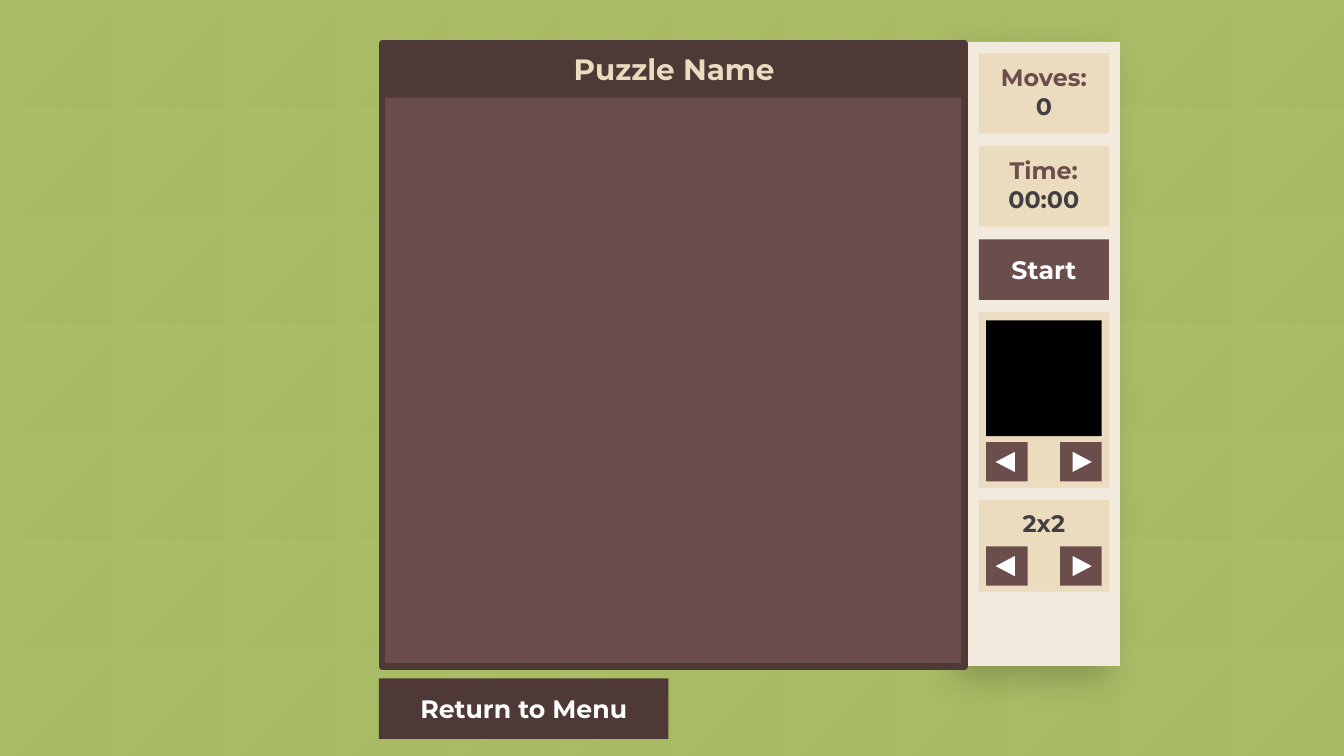
from dataclasses import dataclass

import pptx
import pptx.dml.color
import pptx.enum.shapes
import pptx.enum.text
import pptx.oxml
import pptx.oxml.ns
import pptx.util
from pptx.util import Pt

KIND = pptx.enum.shapes.MSO_SHAPE


@dataclass(frozen=True)
class Theme:
    font: str = "Montserrat"
    grass: str = "A7BA62"
    cream: str = "F1EADD"
    sand: str = "EBDBBF"
    brown: str = "6B4E4B"
    dark: str = "4F3937"
    ink: str = "404040"
    white: str = "FFFFFF"
    black: str = "000000"
    title: float = 21
    button: float = 18
    label: float = 17


THEME = Theme()

# Slide and tile grid
WIDE, HIGH = 960, 540
COLS, ROWS = 12, 7
# Side panel cards
CARD_X, CARD_Y, CARD_W, GAP = 699.2, 37.8, 92.9, 9
PAD = 5.1
KEY_W, KEY_H = 29.8, 28


def rgb(code):
    return pptx.dml.color.RGBColor.from_string(code)


def box(shapes, x, y, w, h, fill, kind=KIND.RECTANGLE):
    shape = shapes.add_shape(kind, Pt(x), Pt(y), Pt(w), Pt(h))
    shape.shadow.inherit = False
    shape.line.fill.background()
    if fill:
        shape.fill.solid()
        shape.fill.fore_color.rgb = rgb(fill)
    return shape


def write(shape, words, size=THEME.label, color=THEME.ink, bold=True):
    frame = shape.text_frame
    frame.word_wrap = True
    para = frame.paragraphs[0]
    para.alignment = pptx.enum.text.PP_ALIGN.CENTER
    run = para.add_run()
    run.text = words
    run.font.name = THEME.font
    run.font.size = Pt(size)
    run.font.bold = bold
    run.font.color.rgb = rgb(color)


def label(shapes, words, x, y, w, h=28, **style):
    shape = shapes.add_textbox(Pt(x), Pt(y), Pt(w), Pt(h))
    write(shape, words, **style)
    shape.text_frame.auto_size = pptx.enum.text.MSO_AUTO_SIZE.SHAPE_TO_FIT_TEXT


def button(shapes, words, x, y, w, h, fill):
    shape = box(shapes, x, y, w, h, fill)
    shape.text_frame.vertical_anchor = pptx.enum.text.MSO_ANCHOR.MIDDLE
    write(shape, words, size=THEME.button, color=THEME.white)


def tile(shapes, col, row):
    w, h = WIDE / COLS, HIGH / ROWS
    shape = box(shapes, col * w, row * h, w, h, None)
    shape.fill.gradient()
    shape.fill.gradient_angle = 315
    for stop in shape.fill.gradient_stops:
        stop.color.rgb = rgb(THEME.white)
    # White fading from 5 % to nothing
    tints = shape.element.spPr.findall(".//" + pptx.oxml.ns.qn("a:srgbClr"))
    for tint, alpha in zip(tints, ("5000", "0")):
        tint.append(pptx.oxml.parse_xml(
            f'<a:alpha {pptx.oxml.ns.nsdecls("a")} val="{alpha}"/>'))


def shade(shape, blur, dist, angle, alpha):
    effect = shape.element.spPr.find(pptx.oxml.ns.qn("a:effectLst"))
    effect.append(pptx.oxml.parse_xml(
        f'<a:outerShdw {pptx.oxml.ns.nsdecls("a")} blurRad="{Pt(blur)}" '
        f'dist="{Pt(dist)}" dir="{angle * 60000}" algn="tr" rotWithShape="0">'
        f'<a:srgbClr val="{THEME.black}"><a:alpha val="{alpha * 1000}"/>'
        '</a:srgbClr></a:outerShdw>'))


def card(shapes, y, h):
    box(shapes, CARD_X, y, CARD_W, h, THEME.sand)


def count(shapes, y, h, name, value):
    card(shapes, y, h)
    label(shapes, name, CARD_X, y + 3.4, CARD_W, color=THEME.brown)
    label(shapes, value, CARD_X, y + 24.3, CARD_W)


def arrows(shapes, y):
    right = CARD_X + CARD_W - PAD - KEY_W
    for x, shift, turn in ((CARD_X + PAD, 6.5, 270), (right, 8.6, 90)):
        box(shapes, x, y, KEY_W, KEY_H, THEME.brown)
        mark = box(shapes, x + shift, y + 7.2, 14.4, 13.7, THEME.white,
                   KIND.ISOSCELES_TRIANGLE)
        mark.rotation = turn


def grass(shapes):
    box(shapes, 0, 0, WIDE, HIGH, THEME.grass)
    for row in range(ROWS):
        for col in range(COLS):
            # The middle tiles would lie under the board
            if row in (0, ROWS - 1) or not 4 <= col < 8:
                tile(shapes, col, row)


def board(shapes):
    field = box(shapes, 273, 31, 416, 445, THEME.brown)
    field.line.color.rgb = rgb(THEME.dark)
    field.line.width = Pt(4.5)
    box(shapes, 271.4, 30.2, 417.6, 39.6, THEME.dark)
    label(shapes, "Puzzle Name", 273, 33.1, 417, 32.4,
          size=THEME.title, color=THEME.sand)


def side(shapes):
    highs = (57.6, 57.6, 43.2, 125.1, 65.4)
    tops = [CARD_Y + sum(highs[:i]) + i * GAP for i in range(len(highs))]
    moves, time, start, image, size = zip(tops, highs)
    count(shapes, *moves, "Moves:", "0")
    count(shapes, *time, "Time:", "00:00")
    y, h = start
    button(shapes, "Start", CARD_X, y, CARD_W, h, THEME.brown)

    # Image chooser
    y, h = image
    group = shapes.add_group_shape().shapes
    card(group, y, h)
    arrows(group, y + h - 32.4)
    edge = CARD_W - 2 * PAD
    box(group, CARD_X + PAD, y + 5.6, edge, edge, THEME.black)

    # Grid size chooser
    y, h = size
    group = shapes.add_group_shape().shapes
    card(group, y, h)
    arrows(group, y + h - 32.4)
    label(group, "2x2", CARD_X, y + 2.7, CARD_W)


def main():
    deck = pptx.Presentation()
    deck.slide_width, deck.slide_height = Pt(WIDE), Pt(HIGH)
    shapes = deck.slides.add_slide(deck.slide_layouts[6]).shapes

    grass(shapes)
    panel = box(shapes, 690, 30, 110, 445.7, THEME.cream)
    shade(panel, blur=24, dist=12, angle=135, alpha=20)
    board(shapes)
    side(shapes)
    button(shapes, "Return to Menu", 270.7, 484.6, 206.8, 43.2, THEME.dark)

    deck.save("out.pptx")


if __name__ == "__main__":
    main()
